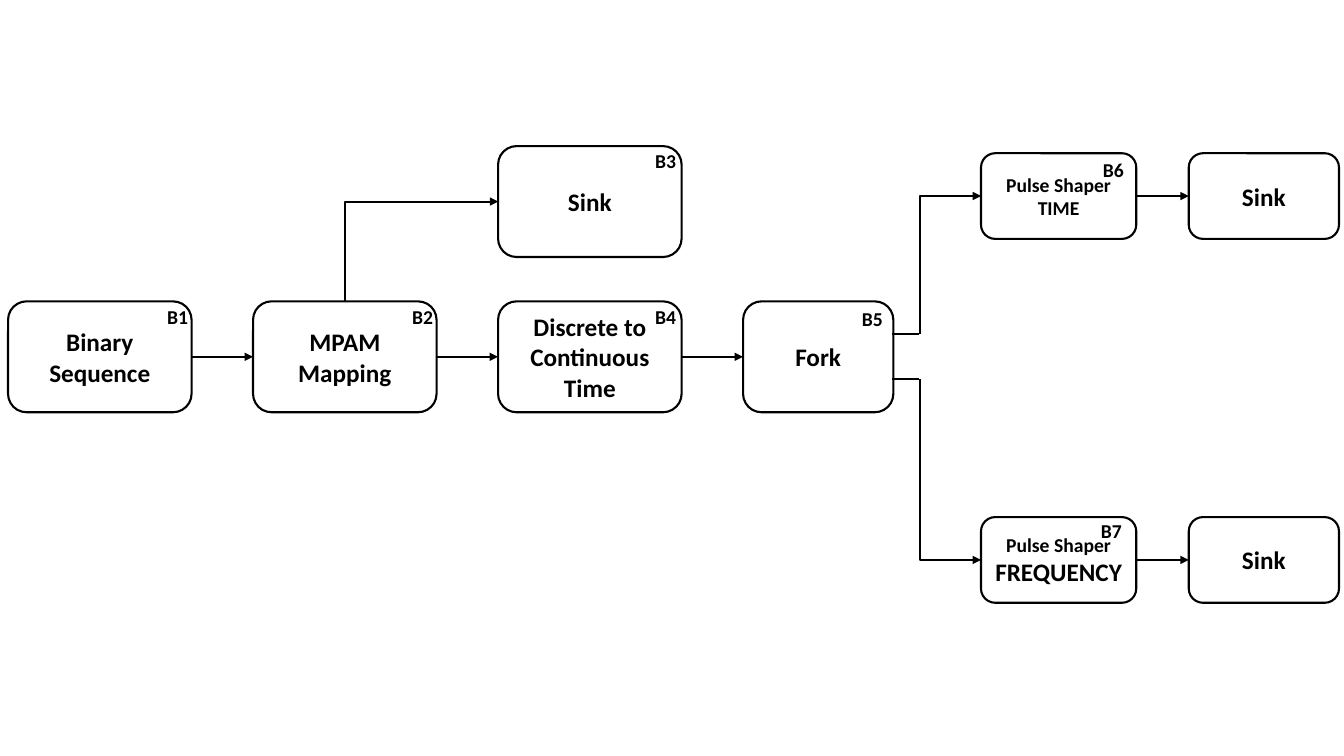
from lxml import etree
from pptx import Presentation
from pptx.dml.color import RGBColor
from pptx.enum.shapes import MSO_CONNECTOR, MSO_SHAPE
from pptx.enum.text import MSO_ANCHOR, MSO_AUTO_SIZE, PP_ALIGN
from pptx.oxml.ns import qn
from pptx.util import Inches, Pt

COLORS = {"ink": "000000", "box": "FFFFFF"}
FONT = "Calibri"
TOP, LEFT, RIGHT = 0, 1, 3
MAIN_TOP, MAIN_STEP, MAIN_LEFT = 2.99, 2.43, 0.08
BRANCH_X = 9.12


def color(name):
    """Return the named colour."""
    return RGBColor.from_string(COLORS[name])


def write_text(shape, lines, sizes=(18,), align=PP_ALIGN.CENTER):
    """Write one bold paragraph per line; the last size serves the rest."""
    frame = shape.text_frame
    for index, line in enumerate(lines):
        paragraph = frame.paragraphs[0] if index == 0 else frame.add_paragraph()
        paragraph.alignment = align
        run = paragraph.add_run()
        run.text = line
        run.font.name = FONT
        run.font.size = Pt(sizes[min(index, len(sizes) - 1)])
        run.font.bold = True
        run.font.color.rgb = color("ink")


def add_block(slide, left, top, width, height, lines, sizes=(18,)):
    """Add a rounded block with centred text."""
    shape = slide.shapes.add_shape(
        MSO_SHAPE.ROUNDED_RECTANGLE,
        Inches(left), Inches(top), Inches(width), Inches(height))
    shape.shadow.inherit = False
    shape.fill.solid()
    shape.fill.fore_color.rgb = color("box")
    shape.line.color.rgb = color("ink")
    shape.line.width = Pt(1.5)
    shape.text_frame.word_wrap = True
    shape.text_frame.vertical_anchor = MSO_ANCHOR.MIDDLE
    write_text(shape, lines, sizes=sizes)
    return shape


def add_label(slide, text, left, top):
    """Add a block number."""
    label = slide.shapes.add_textbox(
        Inches(left), Inches(top), Inches(0.43), Inches(0.34))
    label.text_frame.word_wrap = False
    label.text_frame.auto_size = MSO_AUTO_SIZE.SHAPE_TO_FIT_TEXT
    write_text(label, [text], sizes=(14,), align=PP_ALIGN.LEFT)


def add_line(slide, start, end, kind=MSO_CONNECTOR.STRAIGHT, arrow=True):
    """Add a connector between two points given in EMU."""
    connector = slide.shapes.add_connector(kind, *start, *end)
    connector.line.color.rgb = color("ink")
    connector.line.width = Pt(1.5)
    if arrow:
        etree.SubElement(connector.line._get_or_add_ln(), qn("a:tailEnd"),
                         type="triangle")
    etree.SubElement(connector._element.spPr, qn("a:effectLst"))
    return connector


def side_middle(shape, side):
    """Return the middle of a block's top, left or right side."""
    middle = shape.top + shape.height // 2
    return {TOP: (shape.left + shape.width // 2, shape.top),
            LEFT: (shape.left, middle),
            RIGHT: (shape.left + shape.width, middle)}[side]


def add_arrow(slide, source, target):
    """Join two neighbouring blocks with a straight arrow."""
    arrow = add_line(slide, side_middle(source, RIGHT), side_middle(target, LEFT))
    arrow.begin_connect(source, RIGHT)
    arrow.end_connect(target, LEFT)


def add_bend(slide, start, target, source=None):
    """Run an arrow vertically from a point, then right into a block."""
    end = side_middle(target, LEFT)
    bend = add_line(slide, start, end, kind=MSO_CONNECTOR.ELBOW)
    if source is not None:
        bend.begin_connect(source, TOP)
    bend.end_connect(target, LEFT)
    across, down = end[0] - start[0], end[1] - start[1]
    bend.width, bend.height = abs(down), across
    bend.left = (start[0] + end[0] - abs(down)) // 2
    bend.top = (start[1] + end[1] - across) // 2
    properties = bend._element.spPr
    frame = properties.find(qn("a:xfrm"))
    frame.set("rot", str((90 if down < 0 else 270) * 60000))
    frame.set("flipH", "1")
    frame.set("flipV", "1" if down < 0 else "0")
    properties.find(qn("a:prstGeom")).set("prst", "bentConnector2")


def add_branch(slide, exit_y, target):
    """Lead a branch from the fork's right side to a pulse shaper."""
    corner = (Inches(BRANCH_X), Inches(exit_y))
    add_line(slide, corner, (Inches(8.85), Inches(exit_y)), arrow=False)
    add_bend(slide, corner, target)


def main():
    """Build the block diagram slide."""
    presentation = Presentation()
    presentation.slide_width = Inches(13.33)
    presentation.slide_height = Inches(7.5)
    slide = presentation.slides.add_slide(presentation.slide_layouts[6])

    stages = [
        (["Binary Sequence"], 1.82),
        (["MPAM Mapping"], 1.82),
        (["Discrete to", "Continuous", "Time"], 1.82),
        (["Fork"], 1.49),
    ]
    chain = [
        add_block(slide, MAIN_LEFT + index * MAIN_STEP, MAIN_TOP, width, 1.1, lines)
        for index, (lines, width) in enumerate(stages)
    ]
    for source, target in zip(chain, chain[1:]):
        add_arrow(slide, source, target)

    mapping = chain[1]
    mapping_sink = add_block(slide, 4.94, 1.45, 1.82, 1.1, ["Sink"])
    add_bend(slide, side_middle(mapping, TOP), mapping_sink, source=mapping)

    branches = [
        (1.52, 3.31, "TIME", (14,)),
        (5.13, 3.76, "FREQUENCY", (14, 18)),
    ]
    for top, exit_y, domain, sizes in branches:
        shaper = add_block(slide, 9.73, top, 1.54, 0.85,
                           ["Pulse Shaper", domain], sizes=sizes)
        sink = add_block(slide, 11.79, top, 1.49, 0.85, ["Sink"])
        add_arrow(slide, shaper, sink)
        add_branch(slide, exit_y, shaper)

    label_places = [(1.56, 2.98), (3.99, 2.98), (6.4, 1.43), (6.4, 2.98),
                    (8.45, 3), (10.84, 1.52), (10.82, 5.1)]
    for number, (left, top) in enumerate(label_places, start=1):
        add_label(slide, f"B{number}", left, top)

    presentation.save("out.pptx")


if __name__ == "__main__":
    main()
